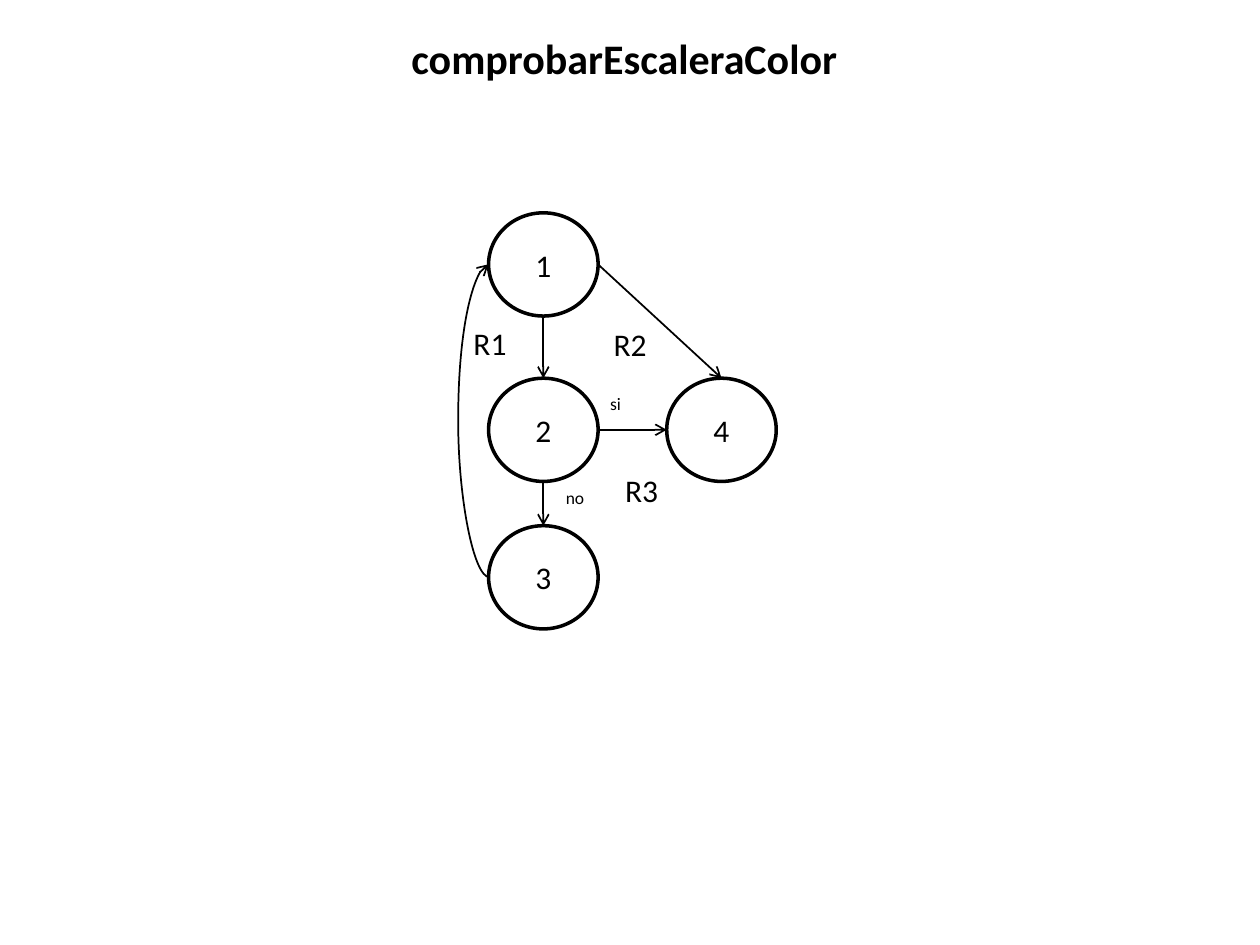
import pptx
import pptx.util
import pptx.dml.color
import pptx.enum.shapes
import pptx.enum.text
import lxml.etree
import pptx.oxml.ns

Pt = pptx.util.Pt
BLACK = pptx.dml.color.RGBColor(0, 0, 0)
FONT = "Calibri"
WIDE, HIGH = 62.6, 59
KIND = pptx.enum.shapes.MSO_CONNECTOR
ALIGN = pptx.enum.text.PP_ALIGN
qn = pptx.oxml.ns.qn


def write(frame, text, size, align, bold=False):
    para = frame.paragraphs[0]
    para.alignment = align
    run = para.add_run()
    run.text = text
    run.font.name = FONT
    run.font.size = Pt(size)
    run.font.bold = bold
    run.font.color.rgb = BLACK


def label(slide, text, box, size, align=ALIGN.LEFT, bold=False, wrap=False):
    frame = slide.shapes.add_textbox(*map(Pt, box)).text_frame
    frame.word_wrap = wrap
    frame.auto_size = pptx.enum.text.MSO_AUTO_SIZE.SHAPE_TO_FIT_TEXT
    write(frame, text, size, align, bold)


def node(slide, text, x, y):
    oval = slide.shapes.add_shape(
        pptx.enum.shapes.MSO_SHAPE.OVAL, Pt(x), Pt(y), Pt(WIDE), Pt(HIGH))
    oval.shadow.inherit = False
    oval.fill.background()
    oval.line.color.rgb = BLACK
    oval.line.width = Pt(2)
    oval.text_frame.vertical_anchor = pptx.enum.text.MSO_ANCHOR.MIDDLE
    write(oval.text_frame, text, 18, ALIGN.CENTER)


def arrow(slide, start, end, kind=KIND.STRAIGHT):
    link = slide.shapes.add_connector(kind, *map(Pt, start + end))
    link.line.color.rgb = BLACK
    link.line.width = Pt(1)
    tail = lxml.etree.SubElement(link.line._get_or_add_ln(), qn("a:tailEnd"))
    tail.set("type", "arrow")
    lxml.etree.SubElement(link._element.spPr, qn("a:effectLst"))
    return link


def loop(slide, start, end, bulge):
    link = arrow(slide, start, end, KIND.CURVE)
    geom = link._element.spPr.find(qn("a:prstGeom"))
    guide = lxml.etree.SubElement(geom.find(qn("a:avLst")), qn("a:gd"))
    ratio = bulge / (start[0] - end[0])
    guide.set("name", "adj1")
    guide.set("fmla", f"val {round(ratio * 100000)}")


def graph(slide, left, top):
    spots = {"1": (17, 0), "2": (17, 94.5), "3": (17, 178.8), "4": (118.8, 94.5)}
    spots = {name: (left + x, top + y) for name, (x, y) in spots.items()}
    for name, (x, y) in spots.items():
        node(slide, name, x, y)

    def port(name, across, down):
        x, y = spots[name]
        return x + WIDE * across, y + HIGH * down

    for start, end in [
        (("1", 0.5, 1), ("2", 0.5, 0)),
        (("2", 0.5, 1), ("3", 0.5, 0)),
        (("2", 1, 0.5), ("4", 0, 0.5)),
        (("1", 1, 0.5), ("4", 0.5, 0)),
    ]:
        arrow(slide, port(*start), port(*end))

    x, y = port("3", 0, 0.5)
    loop(slide, (x + 0.5, y), port("1", 0, 0.5), 17.5)

    for text, x, y, wide, high, size in [
        ("si", 79.3, 99.4, 20.9, 19.4, 10),
        ("no", 54, 153.4, 25.2, 19.4, 10),
        ("R1", 1.3, 60, 33.8, 28.8, 18),
        ("R2", 81.4, 60.6, 33.8, 28.8, 18),
        ("R3", 87.9, 144.1, 33.8, 28.8, 18),
    ]:
        label(slide, text, (left + x, top + y, wide, high), size)


deck = pptx.Presentation()
deck.slide_width, deck.slide_height = Pt(720), Pt(540)
page = deck.slides.add_slide(deck.slide_layouts[6])
graph(page, 262.2, 121.6)
label(page, "comprobarEscaleraColor", (75.6, 15.1, 562.3, 36), 24,
      ALIGN.CENTER, bold=True, wrap=True)
deck.save("out.pptx")
